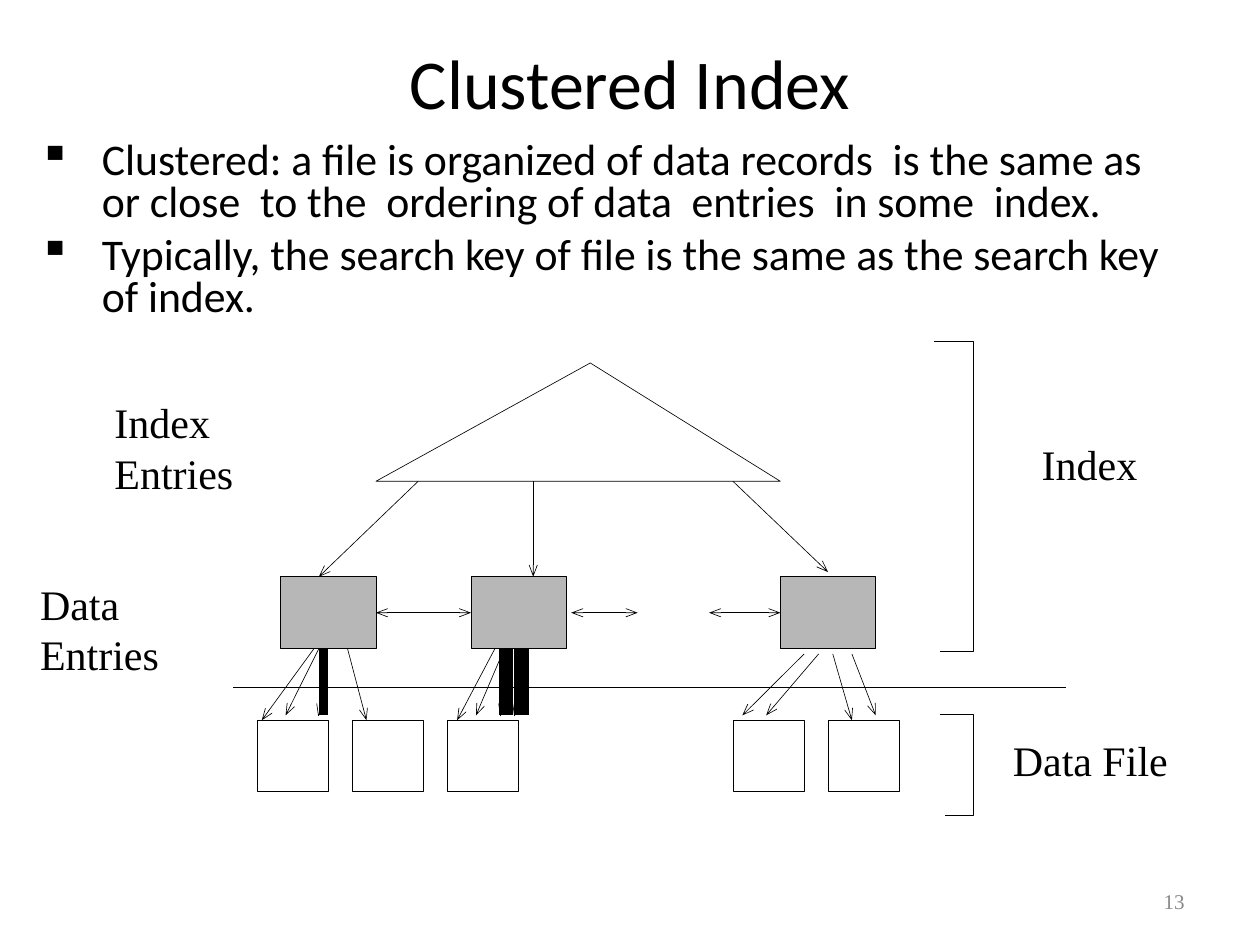
import pptx
import pptx.util
import pptx.dml.color
import pptx.enum.shapes
import pptx.enum.text
import pptx.oxml
from pptx.oxml.ns import qn
from lxml import etree

Pt = pptx.util.Pt
SHAPE = pptx.enum.shapes.MSO_SHAPE
ALIGN = pptx.enum.text.PP_ALIGN
ANCHOR = pptx.enum.text.MSO_ANCHOR

THEME = {
    "ink": "000000", "entry": "B7B7B7", "muted": "898989",
    "sans": "Calibri", "serif": "Times New Roman",
    "title": 40, "body": 25, "label": 24, "number": 12, "hairline": 0.37,
}

TITLE = "Clustered Index"
POINTS = [
    "Clustered: a file is organized of data records  is the same as or close  to the  "
    "ordering of data  entries  in some  index.",
    "Typically, the search key of file is the same as the search key of index.",
]
PAGE_NUMBER = "13"
LABELS = [
    ("Index", 588.2, 247, 69.1),
    ("Data File", 571.7, 416.2, 103),
    ("Index Entries", 58.3, 223.2, 142.6),
    ("Data Entries", 15.8, 326.9, 133.2),
]

STEP = 54.4
ENTRY_LEFT, ENTRY_TOP, ENTRY_HEIGHT = 160.4, 329.6, 41.1
ENTRY_SLOTS = [0, 2, 5.25]
PAGE_LEFT, PAGE_TOP, PAGE_SIZE = 146.8, 411.6, 40.8
PAGE_SLOTS = [0, 1, 2, 5, 6]
ENTRY_BOTTOM = ENTRY_TOP + ENTRY_HEIGHT
ENTRY_MIDDLE = ENTRY_TOP + ENTRY_HEIGHT / 2
ROOT_TOP, ROOT_BASE = 207.4, 275
RECORD_Y = 408.8
LAST_FAN_TOP = 373.7

ROOT_ARROWS = [
    (239, 182.2, ENTRY_TOP),
    (304.7, 304.7, ENTRY_TOP),
    (418.8, 473.2, 326.9),
]
RECORD_ARROWS = [
    (179.4, 149.6, ENTRY_BOTTOM, PAGE_TOP),
    (182.2, 163.2, ENTRY_BOTTOM, RECORD_Y),
    (198.6, 209.4, ENTRY_BOTTOM, PAGE_TOP),
    (282.8, 261.2, ENTRY_BOTTOM, PAGE_TOP),
    (288.2, 272, ENTRY_BOTTOM, RECORD_Y),
    (459.5, 424.2, LAST_FAN_TOP, RECORD_Y),
    (467.8, 437.8, LAST_FAN_TOP, RECORD_Y),
    (475.9, 486.8, LAST_FAN_TOP, PAGE_TOP),
    (486.8, 500.4, LAST_FAN_TOP, RECORD_Y),
]
THICK_RECORD_LINES = [(185, 5.41, 182.2), (289.4, 8.05, 285.6), (298, 8.16, 294)]
BRACKETS = [
    (534, 537, 555.8, 195.1, 371.5),
    (536.7, 539.5, 555.8, 408.5, 465.8),
]

deck = pptx.Presentation()
deck.slide_width, deck.slide_height = Pt(720), Pt(540)
slide = deck.slides.add_slide(deck.slide_layouts[6])


def rgb(name):
    return pptx.dml.color.RGBColor.from_string(THEME[name])


def add_text(paragraphs, left, top, width, height, *, size, font, color="ink",
             align=ALIGN.LEFT, anchor=ANCHOR.TOP, wrap=True, bullet=None):
    box = slide.shapes.add_textbox(Pt(left), Pt(top), Pt(width), Pt(height))
    frame = box.text_frame
    frame.word_wrap, frame.vertical_anchor = wrap, anchor
    for index, text in enumerate(paragraphs):
        paragraph = frame.add_paragraph() if index else frame.paragraphs[0]
        paragraph.alignment = align
        run = paragraph.add_run()
        run.text = text
        run.font.size, run.font.name = Pt(THEME[size]), THEME[font]
        run.font.color.rgb = rgb(color)
        if bullet:
            paragraph.line_spacing, paragraph.space_before = 0.8, Pt(6.2)
            properties = paragraph._p.get_or_add_pPr()
            properties.set("marL", str(Pt(36)))
            properties.set("indent", str(Pt(-36)))
            etree.SubElement(properties, qn("a:buChar")).set("char", bullet)


def style_outline(shape, fill=None):
    shape.shadow.inherit = False
    shape.line.color.rgb, shape.line.width = rgb("ink"), Pt(THEME["hairline"])
    if fill:
        shape.fill.solid()
        shape.fill.fore_color.rgb = rgb(fill)
    else:
        shape.fill.background()
    return shape


def add_outline(preset, left, top, width, height, fill=None):
    shape = slide.shapes.add_shape(preset, Pt(left), Pt(top), Pt(width), Pt(height))
    return style_outline(shape, fill)


def add_polyline(points):
    builder = slide.shapes.build_freeform(*points[0], scale=Pt(1))
    builder.add_line_segments(points[1:], close=False)
    style_outline(builder.convert_to_shape())


def add_line(x1, y1, x2, y2, *, width=THEME["hairline"], ends=(), start=None, finish=None):
    line = slide.shapes.add_connector(
        pptx.enum.shapes.MSO_CONNECTOR.STRAIGHT, Pt(x1), Pt(y1), Pt(x2), Pt(y2))
    line.line.color.rgb, line.line.width = rgb("ink"), Pt(width)
    for end in ends:
        head = etree.SubElement(line.line._get_or_add_ln(), qn("a:" + end))
        for key, value in (("type", "arrow"), ("w", "sm"), ("len", "med")):
            head.set(key, value)
    etree.SubElement(line._element.spPr, qn("a:effectLst"))
    if start:
        line.begin_connect(start, 3)
    if finish:
        line.end_connect(finish, 1)


add_text([TITLE], 36, 21.6, 648, 50.4, size="title", font="sans",
         align=ALIGN.CENTER, anchor=ANCHOR.MIDDLE)
add_text(POINTS, 15.1, 77.8, 669.6, 116.6, size="body", font="sans", bullet="▪")
add_text([PAGE_NUMBER], 516.2, 500.4, 167.8, 28.8, size="number", font="serif",
         color="muted", align=ALIGN.RIGHT, anchor=ANCHOR.MIDDLE)
for label, left, top, width in LABELS:
    add_text([label], left, top, width, 36, size="label", font="serif", wrap=False)

root = add_outline(SHAPE.ISOSCELES_TRIANGLE, 214.8, ROOT_TOP, 231.1, ROOT_BASE - ROOT_TOP)
root.adjustments[0] = 0.53
entries = [add_outline(SHAPE.RECTANGLE, ENTRY_LEFT + STEP * slot, ENTRY_TOP,
                       STEP, ENTRY_HEIGHT, "entry") for slot in ENTRY_SLOTS]
for slot in PAGE_SLOTS:
    add_outline(SHAPE.RECTANGLE, PAGE_LEFT + STEP * slot, PAGE_TOP, PAGE_SIZE, PAGE_SIZE)

both = ("headEnd", "tailEnd")
for x1, x2, start, finish in [
    (214.8, 269.2, entries[0], entries[1]),
    (326.4, 364.4, None, None),
    (405.2, 446, None, entries[2]),
]:
    add_line(x1, ENTRY_MIDDLE, x2, ENTRY_MIDDLE, ends=both, start=start, finish=finish)

for x1, x2, bottom in ROOT_ARROWS:
    add_line(x1, ROOT_BASE, x2, bottom, ends=("tailEnd",))
for x1, x2, top, bottom in RECORD_ARROWS:
    add_line(x1, top, x2, bottom, ends=("tailEnd",))
for x, width, tip in THICK_RECORD_LINES:
    add_line(x, ENTRY_BOTTOM, x, RECORD_Y, width=width)
    add_polyline([(tip - 0.8, 401.6), (tip, RECORD_Y), (tip + 2.8, 401.6)])

add_line(133.2, 392.6, 609.1, 392.6)
for upper, lower, right, top, bottom in BRACKETS:
    add_polyline([(upper, top), (right, top), (right, bottom), (lower, bottom)])

deck.save("out.pptx")
